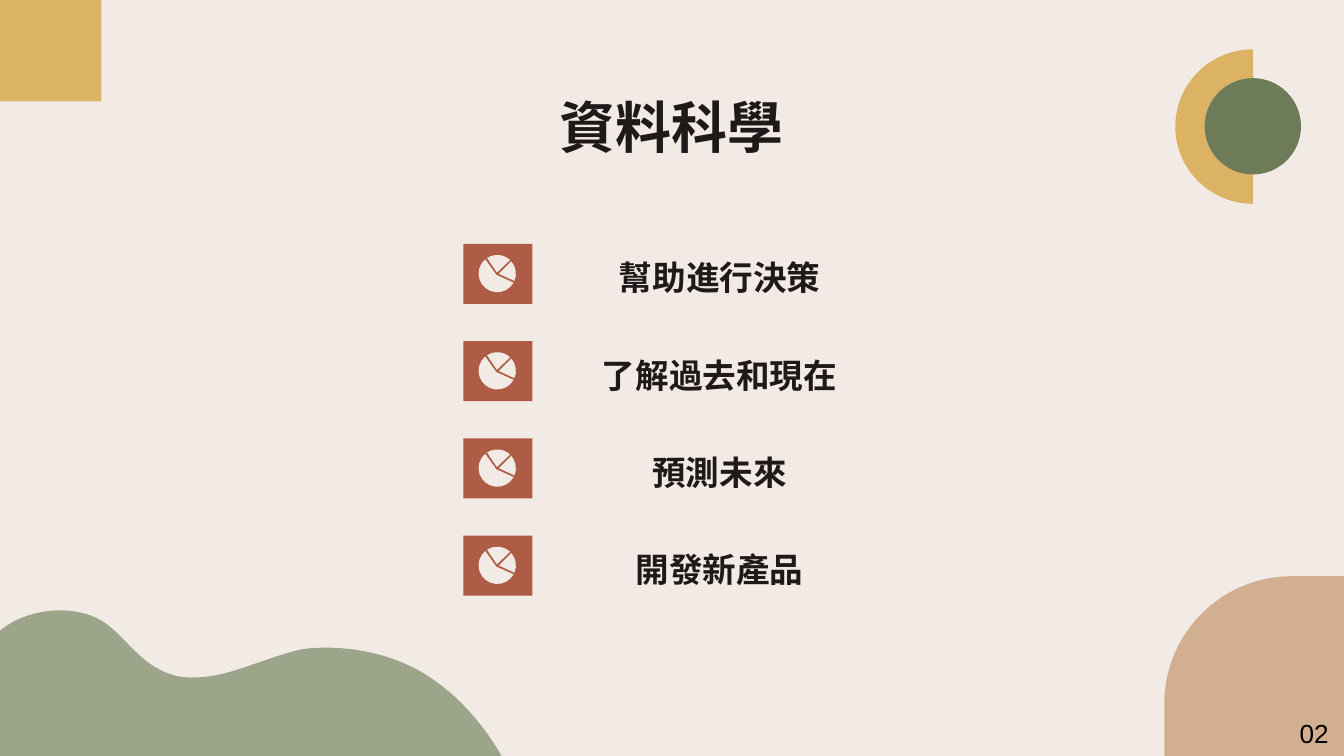
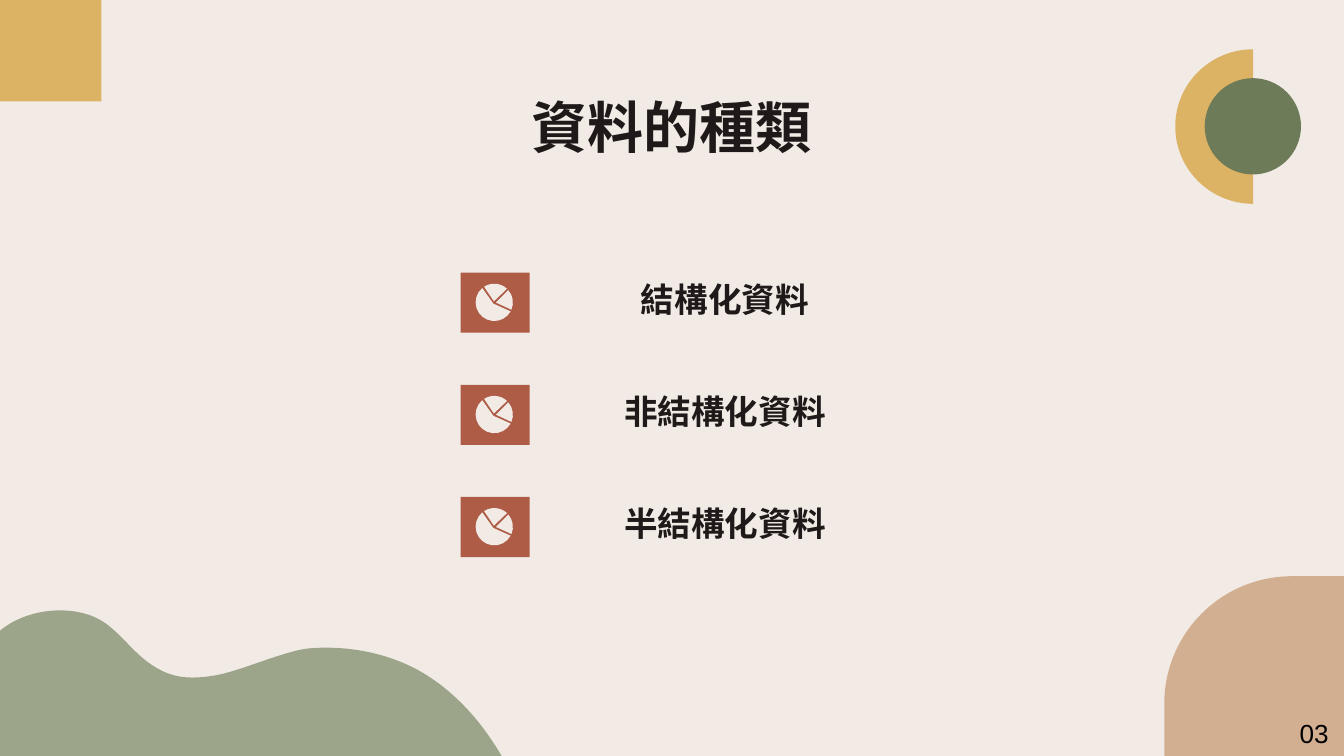
from dataclasses import dataclass
from math import ceil, cos, radians, sin, tan

from pptx import Presentation
from pptx.dml.color import RGBColor
from pptx.enum import shapes, text
from pptx.oxml import ns
from pptx.util import Pt


@dataclass(frozen=True)
class Theme:
    cream: str = "F1EAE5"
    ink: str = "1F191A"
    black: str = "000000"
    gold: str = "DCB364"
    tan: str = "D3AF92"
    sage: str = "9CA589"
    olive: str = "6E7B59"
    rust: str = "AF5C46"
    heading_font: str = "Manrope"
    number_font: str = "Arial"
    title_size: float = 30
    item_size: float = 18
    number_size: float = 14


THEME = Theme()

# Corners are the top left of the first icon and of the first label.
PAGES = [
    dict(title="資料科學", number="02", icon=(248.3, 130.7), label=(298.2, 134.2), step=52.1,
         items=["幫助進行決策", "了解過去和現在", "預測未來", "開發新產品"]),
    dict(title="資料的種類", number="03", icon=(246.7, 146.1), label=(301, 145.8), step=60.1,
         items=["結構化資料", "非結構化資料", "半結構化資料"]),
]

SLIDE_SIZE = (720, 405)
TITLE_BOX = (56.5, 42.5, 607, 52)
NUMBER_BOX = (689.2, 381, 31, 24.5)
LABEL_SIZE = (174.6, 32.4)
ICON_SIZE = (37, 32.2)
CORNER_SQUARE = (0, 0, 54.4, 54.4)

# Outlines: a point is a straight step, three points are a curve.
SUN_HALF = [
    (671.3, 26.4), (671.3, 109.2),
    ((648.4, 109.2), (629.6, 90.7), (629.6, 67.8)),
    ((629.6, 44.9), (648.4, 26.4), (671.3, 26.4)),
]
TAN_CORNER = [
    (692.2, 308.7), ((654.3, 308.7), (623.7, 339.3), (623.7, 377.2)),
    (623.7, 405), (720, 405), (720, 308.7),
]
WAVE = [
    (32, 327), ((18, 327), (3.6, 332.6), (-4, 342)),
    (-2, 410), (272, 411),
    ((262, 392), (248, 374.2), (229, 362)),
    ((213.6, 352.1), (194, 347), (175, 347)),
    ((170, 347), (164.5, 347.1), (159, 348.5)),
    ((147, 351.5), (135, 356.5), (123, 360)),
    ((117, 361.8), (109.5, 363), (103, 363)),
    ((96.5, 363), (91, 361.6), (86, 359)),
    ((73.5, 352.5), (68, 343), (58, 335)),
    ((51, 329.5), (42, 327), (32, 327)),
]

SUN_CENTRE, SUN_RADIUS = (671.2, 67.7), 25.8

# Pie icon: centre inside the icon, and each slice's tip offset and angles.
PIE_CENTRE, PIE_RADIUS = (18.1, 15.9), 10
PIE_SLICES = [((-0.5, 0.7), -29, -230), ((-0.2, -0.6), 47, 123), ((0.9, 0.1), -23, 41)]


def paint(shape, color):
    shape.shadow.inherit = False
    shape.fill.solid()
    shape.fill.fore_color.rgb = RGBColor.from_string(color)
    shape.line.fill.background()
    return shape


def add_rectangle(parent, box, color):
    return paint(parent.add_shape(shapes.MSO_SHAPE.RECTANGLE, *map(Pt, box)), color)


def add_outline(parent, outline, color):
    """Draw a freeform through every point, then turn each triple into a curve."""
    points = []
    for part in outline:
        points.extend(part if isinstance(part[0], tuple) else [part])
    start, *rest = [(Pt(x), Pt(y)) for x, y in points]
    builder = parent.build_freeform(*start)
    builder.add_line_segments(rest, close=True)
    shape = builder.convert_to_shape()

    segments = iter(list(shape.element.iter(ns.qn("a:lnTo"))))
    for part in outline[1:]:
        curve = next(segments)
        if isinstance(part[0], tuple):
            curve.tag = ns.qn("a:cubicBezTo")
            for segment in (next(segments), next(segments)):
                curve.append(segment[0])
                segment.getparent().remove(segment)
    return paint(shape, color)


def arc(centre, radius, first, last):
    """Give a circular arc as its start point and curves of at most 90 degrees."""
    def point(angle, pull=0):
        return (centre[0] + radius * (cos(angle) - pull * sin(angle)),
                centre[1] - radius * (sin(angle) + pull * cos(angle)))

    count = ceil(abs(last - first) / 90)
    turn = radians(last - first) / count
    pull = 4 / 3 * tan(turn / 4)
    angles = [radians(first) + turn * i for i in range(count + 1)]
    return [point(angles[0])] + [(point(a, pull), point(b, -pull), point(b))
                                 for a, b in zip(angles, angles[1:])]


def write(box, content, font, size, color, bold=False, align=None):
    frame = box.text_frame
    frame.word_wrap = True
    frame.text = content
    para = frame.paragraphs[0]
    para.space_before = Pt(0)
    para.alignment = align
    para.font.name = font
    para.font.size = Pt(size)
    para.font.bold = bold
    para.font.color.rgb = RGBColor.from_string(color)
    return frame


def write_heading(box, content, size, anchor):
    frame = write(box, content, THEME.heading_font, size, THEME.ink, True,
                  text.PP_ALIGN.CENTER)
    frame.auto_size = text.MSO_AUTO_SIZE.NONE
    frame.vertical_anchor = anchor
    frame.margin_left = frame.margin_right = Pt(7.2)
    frame.margin_top = frame.margin_bottom = Pt(7.2)


def place(shape, box):
    shape.left, shape.top, shape.width, shape.height = map(Pt, box)


def add_pie_icon(page, left, top):
    icon = page.shapes.add_group_shape().shapes
    add_rectangle(icon, (left, top, *ICON_SIZE), THEME.rust)
    x, y = left + PIE_CENTRE[0], top + PIE_CENTRE[1]
    for (dx, dy), first, last in PIE_SLICES:
        rim = arc((x, y), PIE_RADIUS, first, last)
        add_outline(icon, [(x + dx, y + dy), *rim], THEME.cream)


def add_sun(page):
    sun = page.shapes.add_group_shape().shapes
    add_outline(sun, SUN_HALF, THEME.gold)
    add_outline(sun, arc(SUN_CENTRE, SUN_RADIUS, 90, -270), THEME.olive)


def decorate_layout(layout, page):
    """Draw the shared corner art on a page, then move it to the layout."""
    for footer in [p for p in layout.placeholders if p.placeholder_format.idx >= 10]:
        layout.shapes.element.remove(footer.element)
    art = [
        add_rectangle(page.shapes, CORNER_SQUARE, THEME.gold),
        add_outline(page.shapes, TAN_CORNER, THEME.tan),
        add_outline(page.shapes, WAVE, THEME.sage),
    ]
    for shape in art:
        layout.shapes.element.append(shape.element)


def fill_page(page, content):
    title, first_label = page.placeholders
    place(title, TITLE_BOX)
    write_heading(title, content["title"], THEME.title_size, text.MSO_ANCHOR.TOP)
    add_sun(page)

    icon_left, icon_top = content["icon"]
    label_left, label_top = content["label"]
    for row, item in enumerate(content["items"]):
        drop = row * content["step"]
        box = (label_left, label_top + drop, *LABEL_SIZE)
        label = page.shapes.add_textbox(*map(Pt, box)) if row else first_label
        place(label, box)
        write_heading(label, item, THEME.item_size, text.MSO_ANCHOR.BOTTOM)
        add_pie_icon(page, icon_left, icon_top + drop)

    number = page.shapes.add_textbox(*map(Pt, NUMBER_BOX))
    frame = write(number, content["number"], THEME.number_font, THEME.number_size, THEME.black)
    frame.auto_size = text.MSO_AUTO_SIZE.SHAPE_TO_FIT_TEXT


def main():
    deck = Presentation()
    deck.slide_width, deck.slide_height = map(Pt, SLIDE_SIZE)
    backdrop = deck.slide_master.background.fill
    backdrop.solid()
    backdrop.fore_color.rgb = RGBColor.from_string(THEME.cream)

    layout = deck.slide_layouts[0]
    pages = [deck.slides.add_slide(layout) for _ in PAGES]
    decorate_layout(layout, pages[0])
    for page, content in zip(pages, PAGES):
        fill_page(page, content)
    deck.save("out.pptx")


if __name__ == "__main__":
    main()
